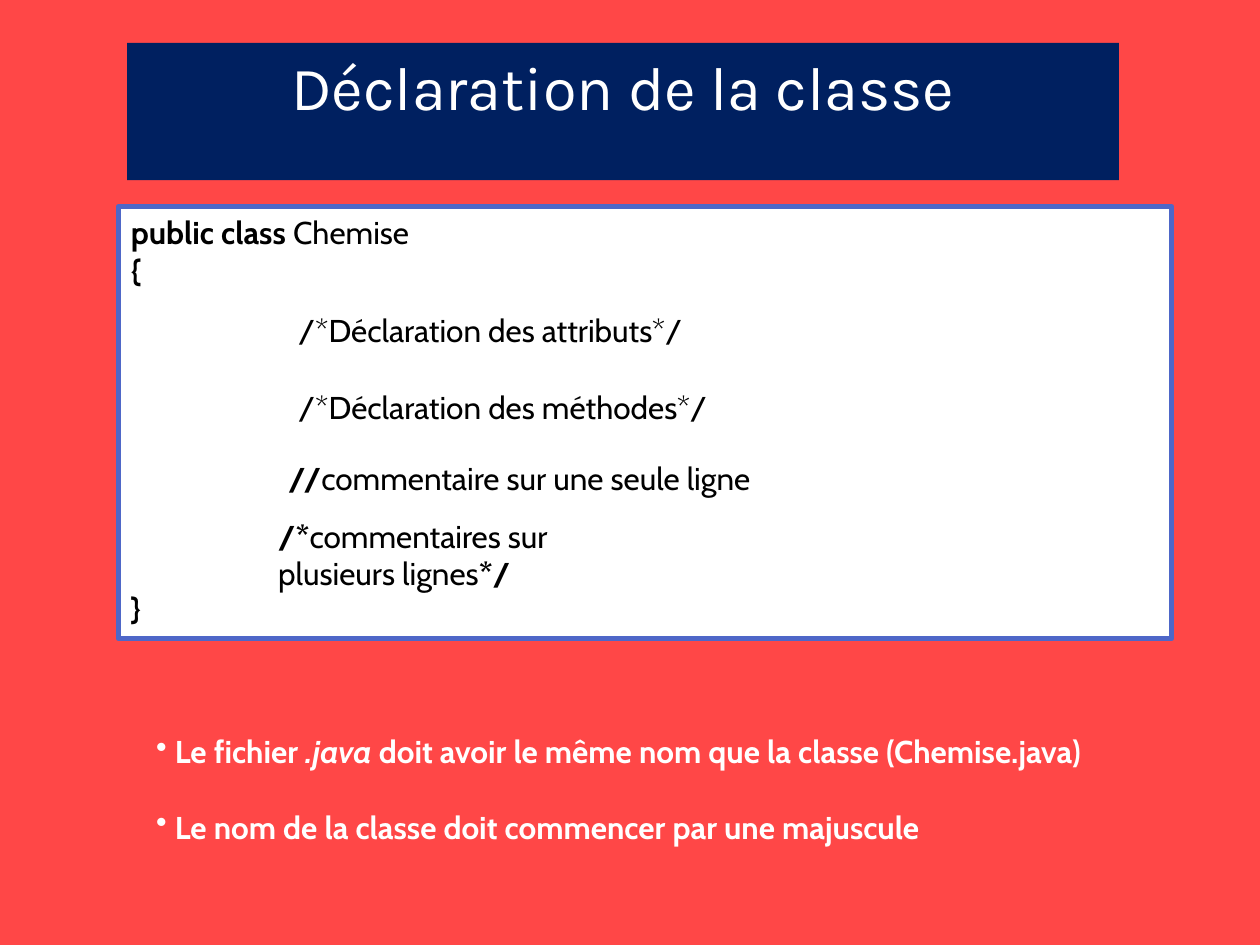
from lxml import etree
from pptx import Presentation
from pptx.dml.color import RGBColor
from pptx.enum.shapes import MSO_SHAPE
from pptx.enum.text import MSO_ANCHOR, PP_ALIGN
from pptx.oxml.ns import qn
from pptx.util import Inches, Pt

RECT = MSO_SHAPE.RECTANGLE
TOP = MSO_ANCHOR.TOP
LEFT, MID = PP_ALIGN.LEFT, PP_ALIGN.CENTER

HUES = {
    "back": "FF4747",
    "navy": "002060",
    "edge": "4E67C8",
    "white": "FFFFFF",
    "black": "000000",
}


def hue(name):
    return RGBColor.from_string(HUES[name])


def add_mark(para):
    props = para._p.get_or_add_pPr()
    props.set("marL", str(Inches(0.15)))
    props.set("indent", str(-Inches(0.15)))
    etree.SubElement(props, qn("a:buChar")).set("char", "•")


def write(frame, lines, size=18, font="Cabin", color="black",
          align=LEFT, wrap=True, mark=False, gaps=None):
    frame.word_wrap = wrap
    frame.vertical_anchor = TOP
    for num, line in enumerate(lines):
        para = frame.add_paragraph() if num else frame.paragraphs[0]
        para.alignment = align
        if gaps and num in gaps:
            para.space_before = Pt(gaps[num])
        if mark:
            add_mark(para)
        for text, style in line:
            run = para.add_run()
            run.text = text
            run.font.name = font
            run.font.size = Pt(size)
            run.font.bold = "b" in style
            run.font.italic = "i" in style
            run.font.color.rgb = hue(color)


def add_box(slide, x, y, w, h, fill, edge=None):
    box = slide.shapes.add_shape(RECT, Inches(x), Inches(y), Inches(w), Inches(h))
    box.shadow.inherit = False
    box.fill.solid()
    box.fill.fore_color.rgb = hue(fill)
    if edge:
        box.line.color.rgb = hue(edge)
        box.line.width = Pt(3)
    else:
        box.line.fill.background()
    return box.text_frame


def add_text(slide, x, y, w, h, lines, **form):
    box = slide.shapes.add_textbox(Inches(x), Inches(y), Inches(w), Inches(h))
    write(box.text_frame, lines, **form)


def add_title(slide, x, y, w, h):
    frame = add_box(slide, x, y, w, h, "navy")
    write(frame, [[("Déclaration de la classe", "")]],
          size=35.1, font="Karla", color="white", align=MID)


def add_code(slide, x, y, w, h):
    frame = add_box(slide, x, y, w, h, "white", "edge")
    write(frame, [
        [("public class ", "b"), ("Chemise", "")],
        [("{", "b")],
        [("}", "b")],
    ], gaps={2: 172})
    notes = [
        (1.33, 0.78, 3.47, 0.4, [[("/*Déclaration des attributs*/", "")]]),
        (1.33, 1.39, 3.59, 0.4, [[("/*Déclaration des méthodes*/", "")]]),
        (1.25, 1.95, 4.09, 0.4,
         [[("//", "b"), ("commentaire sur une seule ligne", "")]]),
        (1.17, 2.41, 2.5, 0.71,
         [[("/*", "b"), ("commentaires sur", "")],
          [("plusieurs lignes", ""), ("*/", "b")]]),
    ]
    for dx, dy, wide, high, lines in notes:
        add_text(slide, x + dx, y + dy, wide, high, lines, wrap=False)


def add_rules(slide, x, y, w, h):
    add_text(slide, x, y, w, h, [
        [("Le fichier ", "b"), (".java ", "bi"),
         ("doit avoir le même nom que la classe (Chemise.java)", "b")],
        [("Le nom de la classe doit commencer par une majuscule", "b")],
    ], color="white", mark=True, gaps={1: 21.6})


def main():
    deck = Presentation()
    deck.slide_width, deck.slide_height = Inches(10), Inches(7.5)
    slide = deck.slides.add_slide(deck.slide_layouts[6])
    slide.background.fill.solid()
    slide.background.fill.fore_color.rgb = hue("back")
    add_code(slide, 0.94, 1.64, 8.36, 3.43)
    add_rules(slide, 1.14, 5.76, 8.58, 1.01)
    add_title(slide, 1.01, 0.34, 7.87, 1.09)
    deck.save("out.pptx")


if __name__ == "__main__":
    main()
